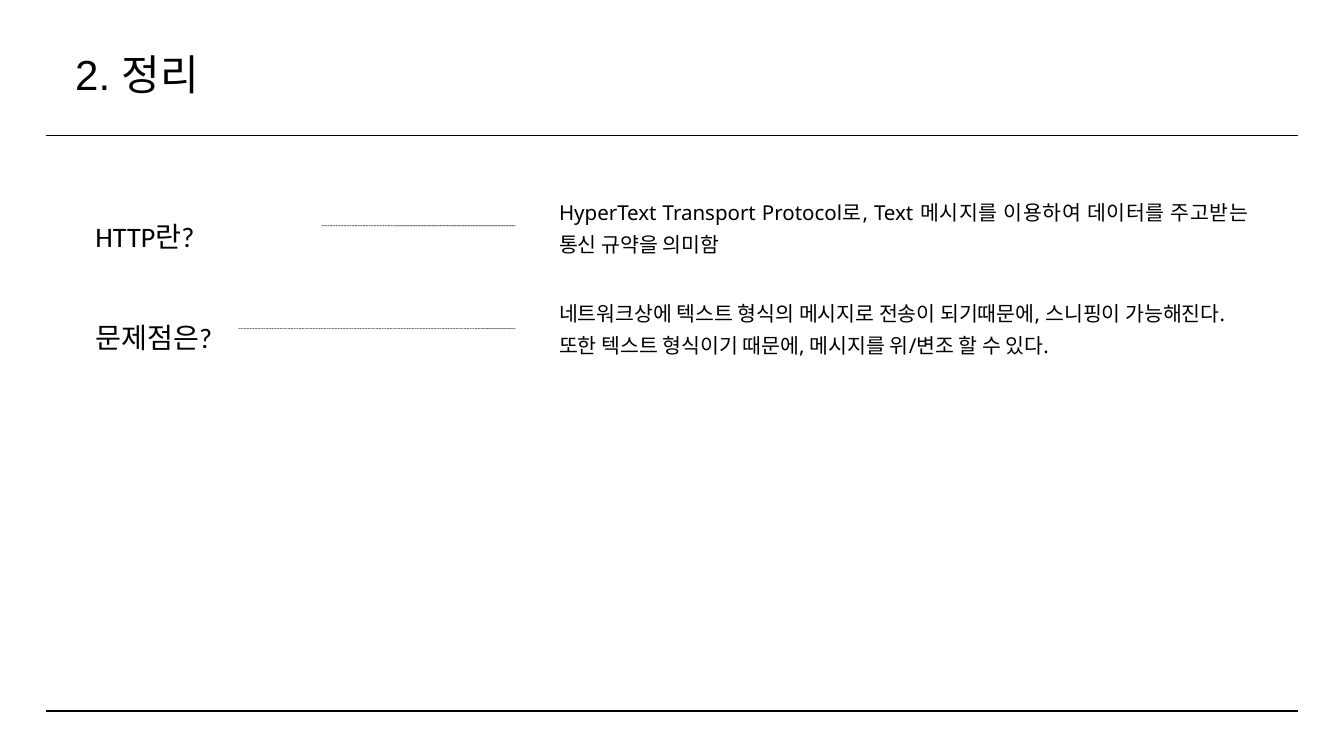
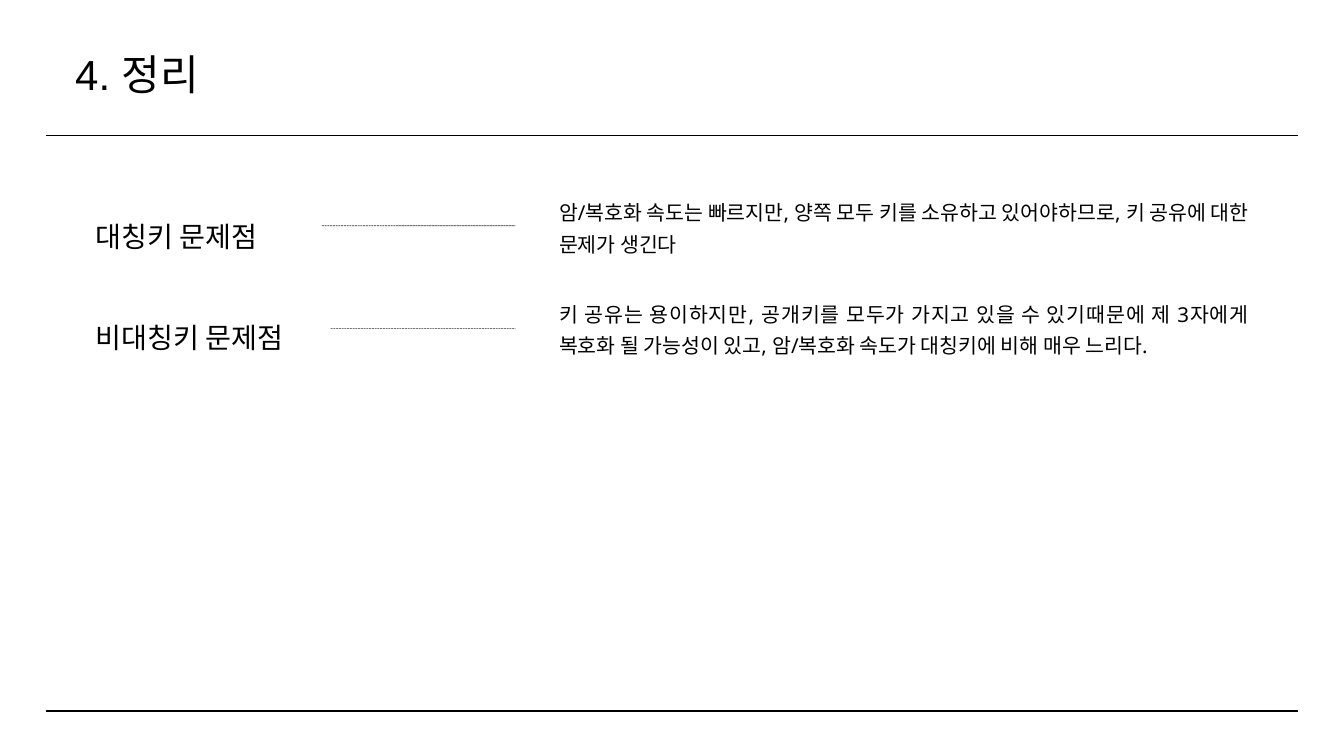
from lxml import etree
from pptx import Presentation
from pptx.dml.color import RGBColor
from pptx.enum.dml import MSO_LINE
from pptx.enum.shapes import MSO_CONNECTOR
from pptx.enum.text import MSO_AUTO_SIZE, MSO_ANCHOR, PP_ALIGN
from pptx.oxml.ns import qn
from pptx.util import Pt

BLACK = RGBColor(0, 0, 0)
WHITE = RGBColor(255, 255, 255)
STRAIGHT = MSO_CONNECTOR.STRAIGHT
SYS_DASH = MSO_LINE.SQUARE_DOT
JUSTIFY = PP_ALIGN.JUSTIFY
TOP = MSO_ANCHOR.TOP
GROW = MSO_AUTO_SIZE.SHAPE_TO_FIT_TEXT

WIDTH, HEIGHT = 1440, 810
MARGIN = 49
RULES = (145.5, 762)
LABEL_TOP, LABEL_STEP = 195.8, 108
BODY_TOP, BODY_STEP = 206.6, 108.7
LEADER_TOP, LEADER_STEP = 241.9, 110.2
LEADER_RIGHT = 552.2

SLIDES = [
    ("2. 정리", [
        ("HTTP란?", 344.9, 65.5, [
            "HyperText Transport Protocol로, Text 메시지를 이용하여 데이터를 주고받는 통신 규약을 의미함"]),
        ("문제점은?", 255.6, 134.6, [
            "네트워크상에 텍스트 형식의 메시지로 전송이 되기때문에, 스니핑이 가능해진다.",
            "또한 텍스트 형식이기 때문에, 메시지를 위/변조 할 수 있다."]),
    ]),
    ("4. 정리", [
        ("대칭키 문제점", 344.9, 65.5, [
            "암/복호화 속도는 빠르지만, 양쪽 모두 키를 소유하고 있어야하므로, 키 공유에 대한 문제가 생긴다"]),
        ("비대칭키 문제점", 354.2, 100.1, [
            "키 공유는 용이하지만, 공개키를 모두가 가지고 있을 수 있기때문에 제 3자에게 복호화 될 가능성이 있고, "
            "암/복호화 속도가 대칭키에 비해 매우 느리다."]),
    ]),
]


class Deck:
    def __init__(self):
        self.prs = Presentation()
        self.prs.slide_width, self.prs.slide_height = Pt(WIDTH), Pt(HEIGHT)
        self.slide = None

    def new_slide(self, title):
        self.slide = self.prs.slides.add_slide(self.prs.slide_layouts[6])
        fill = self.slide.background.fill
        fill.solid()
        fill.fore_color.rgb = WHITE
        for y in RULES:
            self.line(MARGIN, WIDTH - MARGIN, y, 1.5)
        self.text([title], (80.6, 60.5, 578.9, 45.4), "Arial", 45, 45)

    def line(self, left, right, y, width):
        sp = self.slide.shapes.add_connector(STRAIGHT, Pt(left), Pt(y), Pt(right), Pt(y))
        sp.line.color.rgb = BLACK
        sp.line.width = Pt(width)
        etree.SubElement(sp._element.spPr, qn("a:effectLst"))
        return sp

    def leader(self, left, y):
        sp = self.line(left, LEADER_RIGHT, y, 0.75)
        sp.line.dash_style = SYS_DASH
        color = sp._element.spPr.find(".//" + qn("a:srgbClr"))
        etree.SubElement(color, qn("a:alpha"), val="80000")

    def text(self, paragraphs, box, font, size, spacing):
        sp = self.slide.shapes.add_textbox(*map(Pt, box))
        tf = sp.text_frame
        tf.word_wrap = True
        tf.auto_size = GROW
        tf.vertical_anchor = TOP
        tf.margin_left = tf.margin_top = tf.margin_right = tf.margin_bottom = 0
        for i, words in enumerate(paragraphs):
            p = tf.add_paragraph() if i else tf.paragraphs[0]
            p.alignment = JUSTIFY
            p.line_spacing = Pt(spacing)
            r = p.add_run()
            r.text = words
            r.font.name = font
            r.font.size = Pt(size)
            r.font.color.rgb = BLACK

    def row(self, i, label, leader_left, body_height, body):
        self.leader(leader_left, LEADER_TOP + i * LEADER_STEP)
        self.text([label], (102.2, LABEL_TOP + i * LABEL_STEP, 425.5, 65.2), "Calibri", 30.2, 75.5)
        self.text(body, (599, BODY_TOP + i * BODY_STEP, 738.7, body_height), "Noto Sans", 22, 34.1)


def main():
    deck = Deck()
    for title, rows in SLIDES:
        deck.new_slide(title)
        for i, row in enumerate(rows):
            deck.row(i, *row)
    deck.prs.save("out.pptx")


if __name__ == "__main__":
    main()
